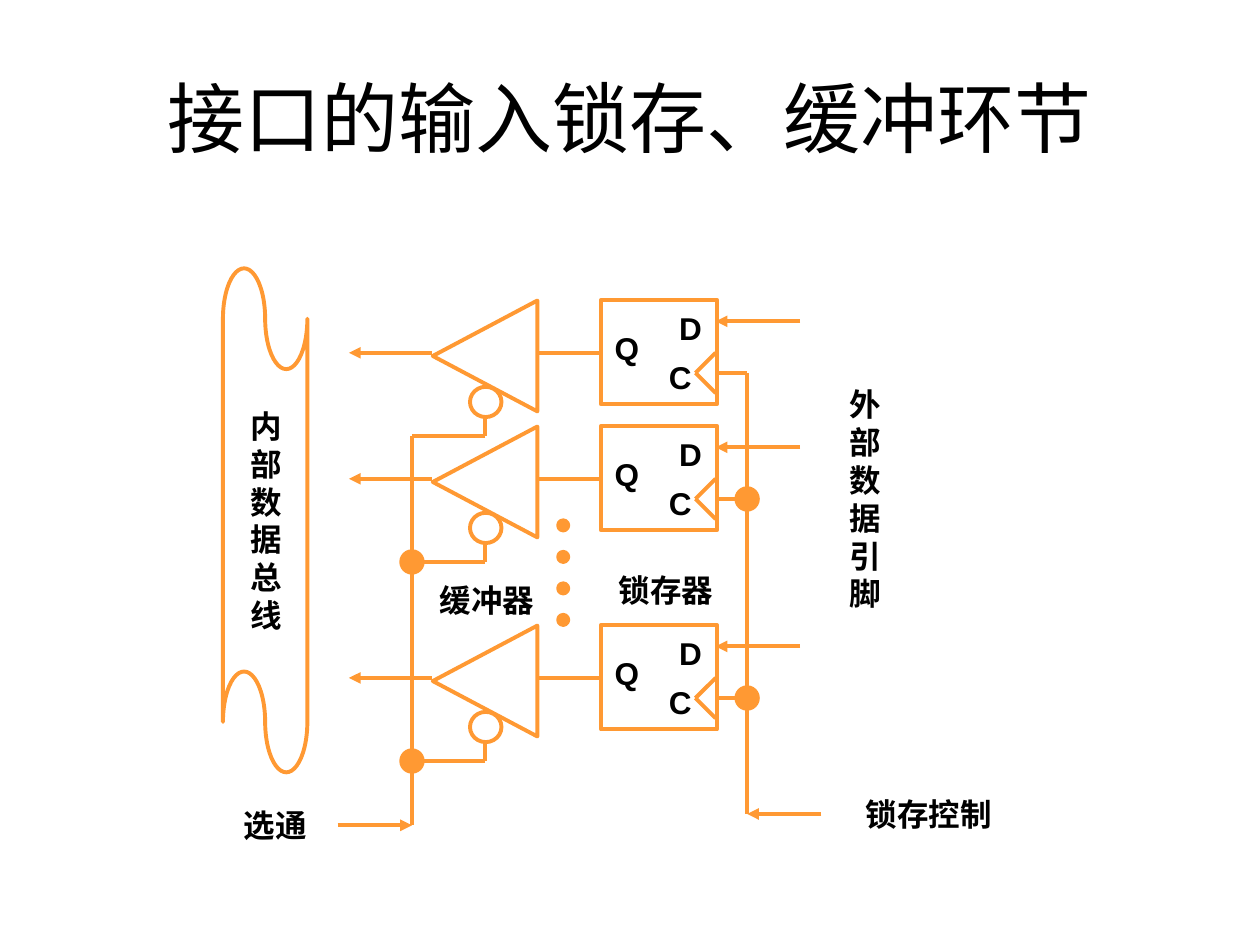
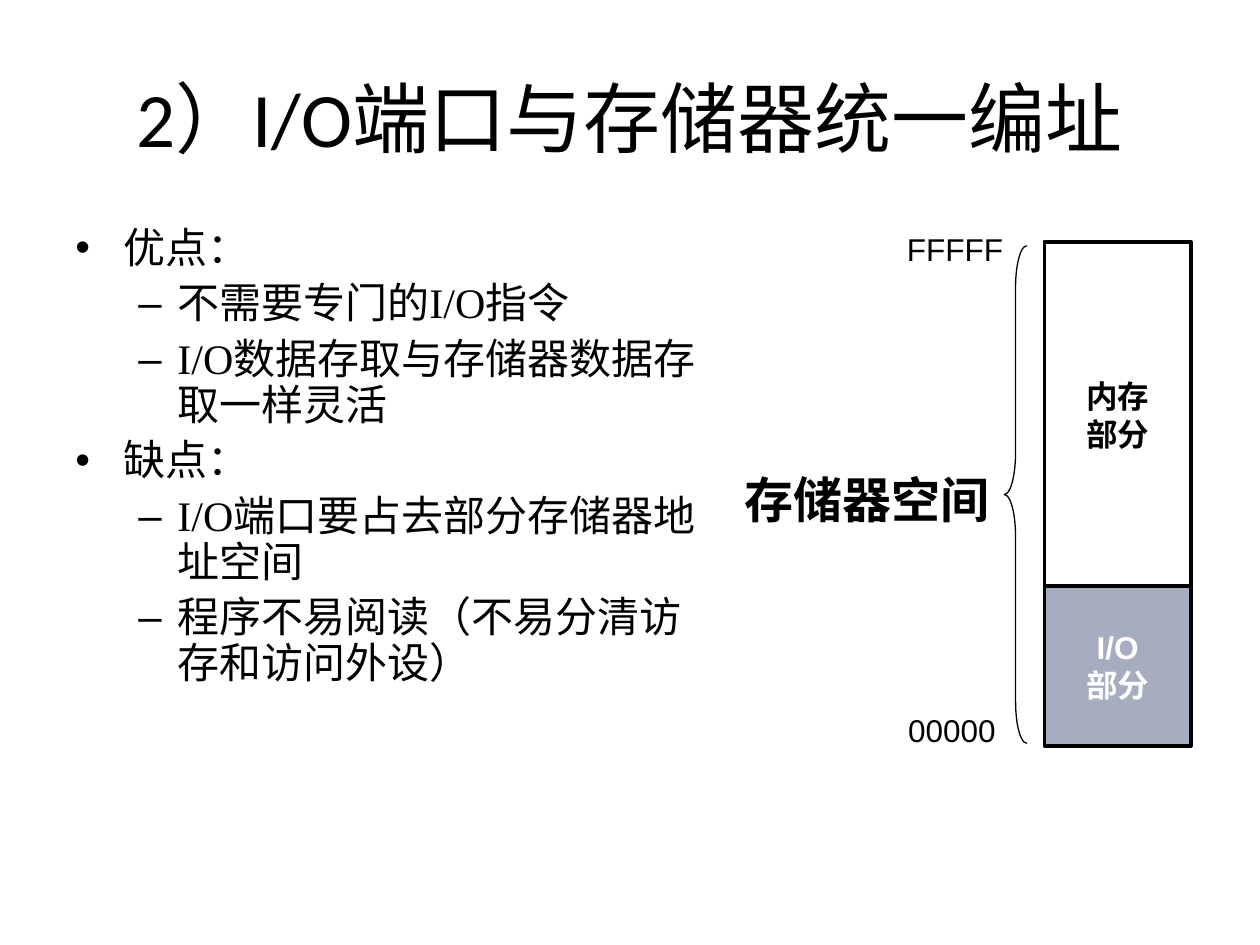
"""Build two slides on interface latching and unified I/O addressing."""
from dataclasses import dataclass

from lxml.etree import SubElement
from pptx import Presentation
from pptx.dml.color import RGBColor
from pptx.enum.shapes import MSO_CONNECTOR, MSO_SHAPE
from pptx.enum.text import MSO_ANCHOR, MSO_AUTO_SIZE, PP_ALIGN
from pptx.oxml.ns import qn
from pptx.util import Inches, Pt


@dataclass(frozen=True)
class Theme:
    black: str = "000000"
    white: str = "FFFFFF"
    orange: str = "FF9933"
    slate: str = "A6ADC0"
    title_font: str = "Calibri"
    body_font: str = "Times New Roman"
    label_font: str = "Arial"
    title_size: int = 44
    space_size: int = 28
    body_size: int = 24
    label_size: int = 18
    thick: float = 2.25
    thin: float = 0.75


THEME = Theme()

LATCH_TITLE = [("接口的输入锁存、缓冲环节", THEME.title_font)]
ADDRESS_TITLE = [("2）I/O", THEME.title_font), ("端口与存储器统一编址", THEME.body_font)]

CIRCUIT_LABELS = [
    (list("内部数据总线"), (1.89, 3.18, 0.45, 1.9)),
    (list("外部数据引脚"), (6.64, 3.01, 0.45, 1.9)),
    (["锁存控制"], (6.77, 6.26, 1.2, 0.4)),
    (["锁存器"], (4.81, 4.48, 0.95, 0.4)),
    (["缓冲器"], (3.39, 4.56, 0.95, 0.4)),
    (["选通"], (1.68, 6.35, 1.01, 0.4)),
]
PIN_LABELS = [("D", 5.29, 0.02), ("C", 5.21, 0.41), ("Q", 4.78, 0.18)]
BIT_TOPS = [2.38, 3.38, 4.96]
LATCH_LEFT, LATCH_RIGHT = 4.77, 5.68
STROBE_X, CLOCK_X, BUBBLE_X = 3.27, 5.93, 3.85
STROBE_Y, CONTROL_Y = 6.55, 6.46

POINTS = [
    (0, "优点："),
    (1, "不需要专门的I/O指令"),
    (1, "I/O数据存取与存储器数据存取一样灵活"),
    (0, "缺点："),
    (1, "I/O端口要占去部分存储器地址空间"),
    (1, "程序不易阅读（不易分清访存和访问外设）"),
]
BULLETS = [("•", 0.38, 0.38), ("–", 0.81, 0.31)]

MEMORY_PARTS = [
    (["内存", "部分"], 1.92, 2.74, None, THEME.black),
    (["I/O", "部分"], 4.65, 1.27, THEME.slate, THEME.white),
]
SPACE_LABELS = [
    ("存储器空间", (5.81, 3.68, 2.14, 0.57), THEME.space_size, True),
    ("00000", (7.11, 5.59, 0.93, 0.4), THEME.label_size, False),
    ("FFFFF", (7.1, 1.78, 1, 0.4), THEME.label_size, False),
]


def apply_formats(target, formats):
    for name, value in formats.items():
        setattr(target, name, value)


def write_span(para, text, font=THEME.label_font, size=THEME.label_size,
               color=THEME.black, bold=False):
    span = para.add_run()
    span.text = text
    apply_formats(span.font, {"name": font, "size": Pt(size), "bold": bold})
    span.font.color.rgb = RGBColor.from_string(color)


def write_lines(shape, lines, align=PP_ALIGN.CENTER, anchor=MSO_ANCHOR.MIDDLE, **style):
    frame = shape.text_frame
    apply_formats(frame, {"word_wrap": False, "vertical_anchor": anchor})
    for index, line in enumerate(lines):
        para = frame.add_paragraph() if index else frame.paragraphs[0]
        para.alignment = align
        write_span(para, line, **style)


def add_box(page, place):
    return page.shapes.add_textbox(*map(Inches, place))


def add_label(page, lines, place, *layout, **style):
    box = add_box(page, place)
    box.text_frame.auto_size = MSO_AUTO_SIZE.SHAPE_TO_FIT_TEXT
    write_lines(box, lines, *layout, **style)


def add_outline(page, kind, place, fill=None, color=THEME.orange, width=THEME.thick):
    shape = page.shapes.add_shape(kind, *map(Inches, place))
    shape.shadow.inherit = False
    if fill:
        shape.fill.solid()
        shape.fill.fore_color.rgb = RGBColor.from_string(fill)
    else:
        shape.fill.background()
    shape.line.color.rgb = RGBColor.from_string(color)
    shape.line.width = Pt(width)
    return shape


def add_wire(page, *points, arrow=False):
    for start, end in zip(points, points[1:]):
        wire = page.shapes.add_connector(MSO_CONNECTOR.STRAIGHT, *map(Inches, start + end))
        wire.line.color.rgb = RGBColor.from_string(THEME.orange)
        wire.line.width = Pt(THEME.thick)
        properties = wire._element.spPr
        if arrow:
            SubElement(properties.find(qn("a:ln")), qn("a:tailEnd"), type="triangle")
        SubElement(properties, qn("a:effectLst"))


def add_dot(page, x, y, size):
    place = (x - size / 2, y - size / 2, size, size)
    add_outline(page, MSO_SHAPE.OVAL, place, fill=THEME.orange)


def add_page(deck, title):
    page = deck.slides.add_slide(deck.slide_layouts[6])
    frame = add_box(page, (0.5, 0.3, 9, 1.25)).text_frame
    apply_formats(frame, {"word_wrap": True, "vertical_anchor": MSO_ANCHOR.MIDDLE})
    para = frame.paragraphs[0]
    para.alignment = PP_ALIGN.CENTER
    for text, font in title:
        write_span(para, text, font, THEME.title_size)
    return page


def add_bit(page, top):
    data_y, middle, clock_y, strobe_y = (top + step for step in (0.17, 0.42, 0.58, 1.08))
    add_outline(page, MSO_SHAPE.RECTANGLE, (LATCH_LEFT, top, 0.92, 0.83))
    buffer = add_outline(page, MSO_SHAPE.ISOSCELES_TRIANGLE, (3.41, top + 0.03, 0.88, 0.83))
    buffer.rotation = 270
    add_outline(page, MSO_SHAPE.OVAL, (3.73, top + 0.69, 0.25, 0.24))
    add_wire(page, (3.43, middle), (2.77, middle), arrow=True)
    add_wire(page, (4.27, middle), (LATCH_LEFT, middle))
    add_wire(page, (6.35, data_y), (LATCH_RIGHT, data_y), arrow=True)
    add_wire(page, (LATCH_RIGHT, clock_y - 0.16), (5.52, clock_y), (LATCH_RIGHT, clock_y + 0.16))
    add_wire(page, (LATCH_RIGHT, clock_y), (CLOCK_X, clock_y))
    add_wire(page, (BUBBLE_X, top + 0.92), (BUBBLE_X, strobe_y), (STROBE_X, strobe_y))
    if top != BIT_TOPS[0]:
        add_dot(page, CLOCK_X, clock_y, 0.17)
        add_dot(page, STROBE_X, strobe_y, 0.17)
    for pin, left, step in PIN_LABELS:
        add_label(page, [pin], (left, top + step, 0.38, 0.4), bold=True)


def build_latch_page(deck):
    page = add_page(deck, LATCH_TITLE)
    bus = add_outline(page, MSO_SHAPE.FLOWCHART_PUNCHED_TAPE, (1.77, 2.13, 0.67, 4))
    bus._element.spPr.find(qn("a:xfrm")).set("flipH", "1")
    for top in BIT_TOPS:
        add_bit(page, top)
    add_wire(page, (CLOCK_X, BIT_TOPS[0] + 0.58), (CLOCK_X, CONTROL_Y))
    add_wire(page, (STROBE_X, BIT_TOPS[0] + 1.08), (STROBE_X, STROBE_Y))
    add_wire(page, (6.52, CONTROL_Y), (CLOCK_X, CONTROL_Y), arrow=True)
    add_wire(page, (2.68, STROBE_Y), (STROBE_X, STROBE_Y), arrow=True)
    for index in range(4):
        add_dot(page, 4.47, 4.17 + 0.25 * index, 0.08)
    for lines, place in CIRCUIT_LABELS:
        add_label(page, lines, place, bold=True)


def add_bullet(para, level):
    mark, margin, hanging = BULLETS[level]
    properties = para._p.get_or_add_pPr()
    properties.set("marL", str(Inches(margin)))
    properties.set("indent", str(-Inches(hanging)))
    color = SubElement(properties, qn("a:buClr"))
    SubElement(color, qn("a:srgbClr"), val=THEME.black)
    SubElement(properties, qn("a:buFont"), typeface=THEME.label_font)
    SubElement(properties, qn("a:buChar"), char=mark)


def build_address_page(deck):
    page = add_page(deck, ADDRESS_TITLE)
    frame = add_box(page, (0.5, 1.75, 5.13, 4.95)).text_frame
    frame.word_wrap = True
    for index, (level, text) in enumerate(POINTS):
        para = frame.add_paragraph() if index else frame.paragraphs[0]
        add_bullet(para, level)
        apply_formats(para, {"level": level, "line_spacing": 0.9,
                             "space_before": Pt(6 if index else 0)})
        write_span(para, text, THEME.body_font, THEME.body_size)
    for lines, top, height, fill, color in MEMORY_PARTS:
        part = add_outline(page, MSO_SHAPE.RECTANGLE, (8.29, top, 1.16, height), fill, THEME.black)
        write_lines(part, lines, color=color, bold=True)
    brace = add_outline(page, MSO_SHAPE.LEFT_BRACE, (7.97, 1.95, 0.18, 3.95),
                        color=THEME.black, width=THEME.thin)
    brace.adjustments[0] = 1.83
    for text, place, size, bold in SPACE_LABELS:
        add_label(page, [text], place, PP_ALIGN.LEFT, MSO_ANCHOR.TOP, size=size, bold=bold)


def main():
    deck = Presentation()
    apply_formats(deck, {"slide_width": Inches(10), "slide_height": Inches(7.5)})
    build_latch_page(deck)
    build_address_page(deck)
    deck.save("out.pptx")


if __name__ == "__main__":
    main()
